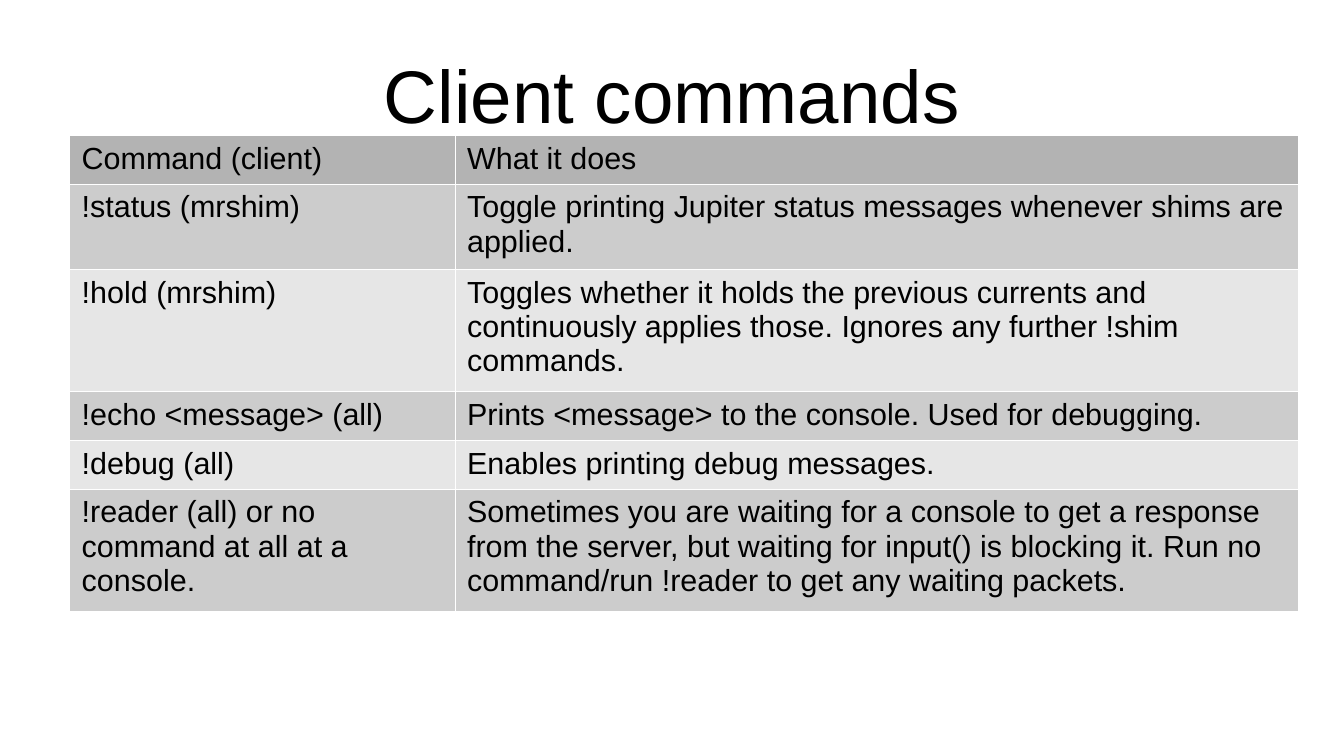
from lxml import etree
from pptx import Presentation
from pptx.dml.color import RGBColor
from pptx.enum import text
from pptx.oxml import ns
from pptx.util import Inches, Pt

TITLE = "Client commands"
COMMANDS = [
    ("Command (client)", "What it does"),
    ("!status (mrshim)", "Toggle printing Jupiter status messages whenever shims are applied."),
    ("!hold (mrshim)", "Toggles whether it holds the previous currents and continuously "
                       "applies those. Ignores any further !shim commands."),
    ("!echo <message> (all)", "Prints <message> to the console. Used for debugging."),
    ("!debug (all)", "Enables printing debug messages."),
    ("!reader (all) or no command at all at a console.",
     "Sometimes you are waiting for a console to get a response from the server, but "
     "waiting for input() is blocking it. Run no command/run !reader to get any waiting packets."),
]
COLUMN_WIDTHS = [3.16, 6.91]
ROW_HEIGHTS = [0.4, 0.7, 1.0, 0.4, 0.4, 1.0]

FONT = "Arial"
BLACK = RGBColor(0x00, 0x00, 0x00)
WHITE = RGBColor(0xFF, 0xFF, 0xFF)
HEADER = RGBColor(0xB3, 0xB3, 0xB3)
BANDS = [RGBColor(0xCC, 0xCC, 0xCC), RGBColor(0xE6, 0xE6, 0xE6)]
BORDER_WIDTH = Pt(0.06)


def style_text(frame, size):
    for para in frame.paragraphs:
        for span in para.runs:
            span.font.name = FONT
            span.font.size = Pt(size)
            span.font.color.rgb = BLACK


def add_borders(cell):
    properties = cell._tc.get_or_add_tcPr()
    for position, side in enumerate(("lnL", "lnR", "lnT", "lnB")):
        line = etree.Element(ns.qn(f"a:{side}"), w=str(int(BORDER_WIDTH)))
        fill = etree.SubElement(line, ns.qn("a:solidFill"))
        etree.SubElement(fill, ns.qn("a:srgbClr"), val=str(WHITE))
        properties.insert(position, line)


def add_title(page):
    box = page.shapes.add_textbox(Inches(0.55), Inches(0.25), Inches(9.92), Inches(1.04))
    frame = box.text_frame
    frame.word_wrap = True
    frame.vertical_anchor = text.MSO_ANCHOR.MIDDLE
    frame.margin_left = frame.margin_right = frame.margin_top = frame.margin_bottom = 0
    frame.text = TITLE
    frame.paragraphs[0].alignment = text.PP_ALIGN.CENTER
    style_text(frame, 44)


def add_command_table(page):
    table = page.shapes.add_table(
        len(COMMANDS), len(COLUMN_WIDTHS), Inches(0.57), Inches(1.11),
        Inches(sum(COLUMN_WIDTHS)), Inches(sum(ROW_HEIGHTS))).table
    for column, width in zip(table.columns, COLUMN_WIDTHS):
        column.width = Inches(width)
    for index, (row, height) in enumerate(zip(table.rows, ROW_HEIGHTS)):
        row.height = Inches(height)
        color = BANDS[(index - 1) % 2] if index else HEADER
        for cell, wording in zip(row.cells, COMMANDS[index]):
            cell.text_frame.text = wording
            cell.fill.solid()
            cell.fill.fore_color.rgb = color
            add_borders(cell)
            for para in cell.text_frame.paragraphs:
                para.font.bold = False
            style_text(cell.text_frame, 18)
    table.first_row = False
    table.horz_banding = False


def main():
    deck = Presentation()
    deck.slide_width = Inches(11.02)
    deck.slide_height = Inches(6.2)
    page = deck.slides.add_slide(deck.slide_layouts[6])
    add_title(page)
    add_command_table(page)
    deck.save("out.pptx")


if __name__ == "__main__":
    main()
